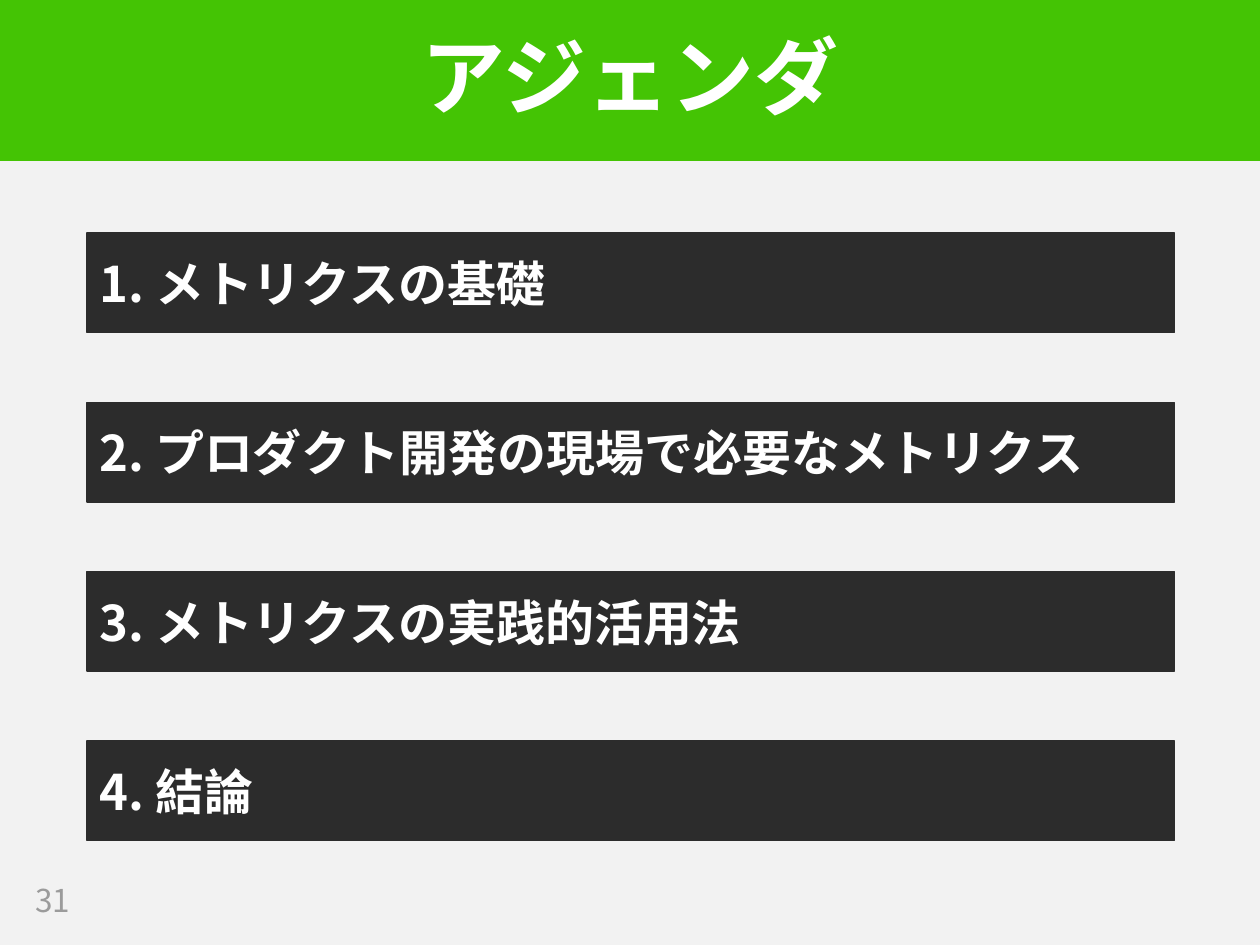
from dataclasses import dataclass

from lxml.etree import SubElement
from pptx import Presentation
from pptx.dml.color import RGBColor
from pptx.enum.shapes import MSO_SHAPE
from pptx.enum.text import MSO_ANCHOR, PP_ALIGN
from pptx.oxml.ns import qn
from pptx.shapes.autoshape import Shape
from pptx.slide import Slide
from pptx.util import Inches, Pt

FONT = "Noto Sans CJK JP"
COLORS = {
    "background": "F2F2F2",
    "header": "44C404",
    "bar": "2C2C2C",
    "text": "FFFFFF",
    "page_number": "9B9B9B",
}
AGENDA = (
    "メトリクスの基礎",
    "プロダクト開発の現場で必要なメトリクス",
    "メトリクスの実践的活用法",
    "結論",
)
FIRST_BAR_TOP, LAST_BAR_TOP = 1.85, 5.88


@dataclass(frozen=True)
class Box:
    left: float
    top: float
    width: float
    height: float

    def lengths(self) -> tuple[Inches, ...]:
        return tuple(map(Inches, (self.left, self.top, self.width, self.height)))


def color(name: str) -> RGBColor:
    return RGBColor.from_string(COLORS[name])


def write_text(shape: Shape, text: str, *, size: float, fill: str = "text",
               bold: bool = True, align: PP_ALIGN = PP_ALIGN.LEFT,
               line_spacing: float = 1.0) -> None:
    frame = shape.text_frame
    frame.word_wrap = True
    frame.vertical_anchor = MSO_ANCHOR.MIDDLE
    paragraph = frame.paragraphs[0]
    paragraph.alignment = align
    paragraph.line_spacing = line_spacing
    run = paragraph.add_run()
    run.text = text
    run.font.size = Pt(size)
    run.font.bold = bold
    run.font.color.rgb = color(fill)
    run.font.name = FONT
    # Japanese characters take the East Asian typeface
    SubElement(run.font._element, qn("a:ea"), typeface=FONT)


def add_bar(slide: Slide, box: Box, fill: str, line_width: float) -> Shape:
    bar = slide.shapes.add_shape(MSO_SHAPE.RECTANGLE, *box.lengths())
    bar.shadow.inherit = False
    bar.fill.solid()
    bar.fill.fore_color.rgb = color(fill)
    bar.line.color.rgb = color(fill)
    bar.line.width = Pt(line_width)
    return bar


def add_label(slide: Slide, box: Box, text: str, **text_format) -> None:
    write_text(slide.shapes.add_textbox(*box.lengths()), text, **text_format)


def main() -> None:
    presentation = Presentation()
    presentation.slide_width = Inches(10)
    presentation.slide_height = Inches(7.5)
    slide = presentation.slides.add_slide(presentation.slide_layouts[6])
    slide.background.fill.solid()
    slide.background.fill.fore_color.rgb = color("background")

    add_bar(slide, Box(0, -0.01, 10, 1.28), "header", 1)
    add_label(slide, Box(0, 0.36, 10, 0.57), "アジェンダ", size=48,
              align=PP_ALIGN.CENTER, line_spacing=0.9)
    add_label(slide, Box(0.18, 6.95, 0.79, 0.39), "31", size=18,
              fill="page_number", bold=False)

    pitch = (LAST_BAR_TOP - FIRST_BAR_TOP) / (len(AGENDA) - 1)
    for index, topic in enumerate(AGENDA):
        box = Box(0.69, FIRST_BAR_TOP + index * pitch, 8.63, 0.79)
        bar = add_bar(slide, box, "bar", 0.75)
        write_text(bar, f"{index + 1}. {topic}", size=28)

    presentation.save("out.pptx")


if __name__ == "__main__":
    main()
